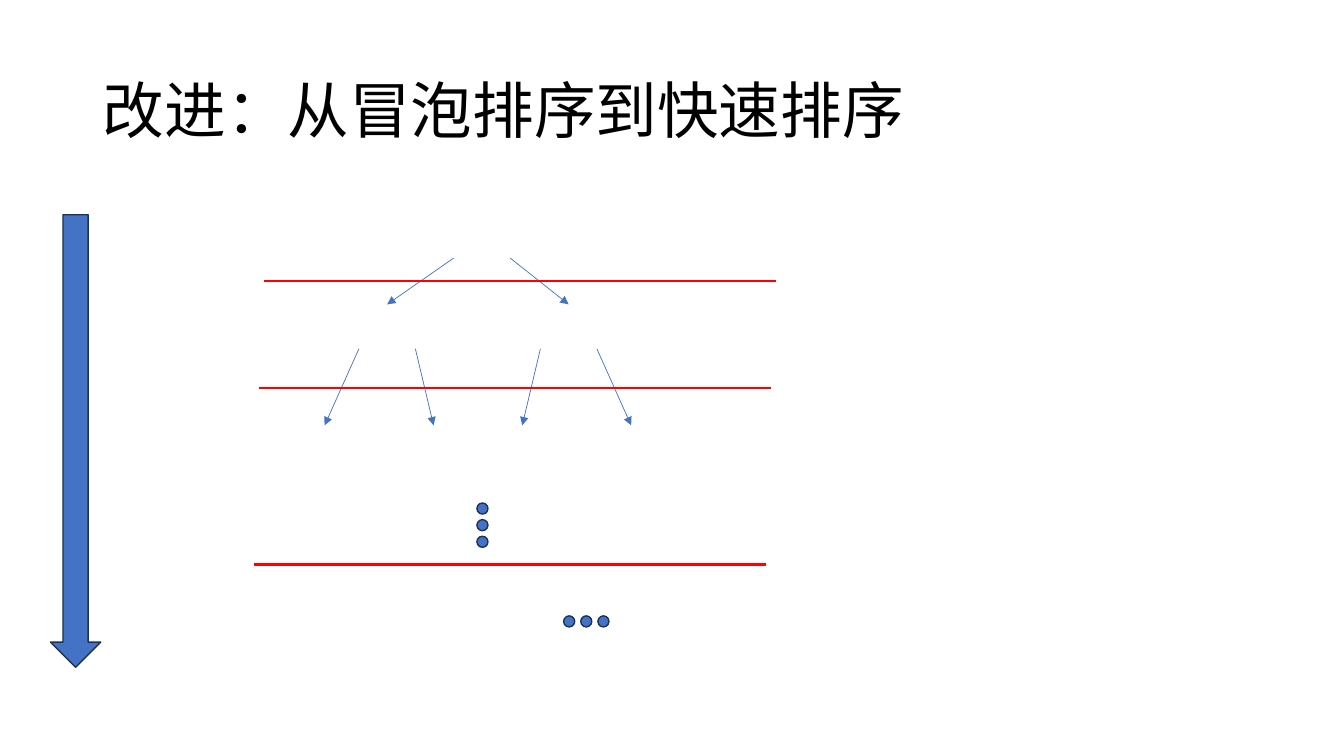
from lxml import etree
from pptx import Presentation
from pptx.dml.color import RGBColor
from pptx.enum import shapes, text
from pptx.oxml.ns import qn
from pptx.util import Inches, Pt

BLUE = RGBColor(0x44, 0x72, 0xC4)
NAVY = RGBColor(0x1E, 0x32, 0x56)
RED = RGBColor(0xFF, 0, 0)
BLACK = RGBColor(0, 0, 0)
FONT = "Noto Sans CJK SC"

deck = Presentation()
deck.slide_width, deck.slide_height = Inches(13.33), Inches(7.5)
slide = deck.slides.add_slide(deck.slide_layouts[5])


def write(box, words, size=44, color=BLACK, align=text.PP_ALIGN.LEFT):
    frame = box.text_frame
    frame.word_wrap = True
    frame.auto_size = text.MSO_AUTO_SIZE.NONE
    frame.vertical_anchor = text.MSO_ANCHOR.MIDDLE
    par = frame.paragraphs[0]
    par.alignment = align
    par.line_spacing = 0.9
    run = par.add_run()
    run.text = words
    run.font.size, run.font.name = Pt(size), FONT
    run.font.color.rgb = color
    east = etree.SubElement(run.font._element, qn("a:ea"))
    east.set("typeface", FONT)


# Title
title = slide.shapes.title
title.left, title.top = Inches(0.92), Inches(0.4)
title.width, title.height = Inches(11.5), Inches(1.45)
write(title, "改进：从冒泡排序到快速排序")

# Lines: tree arrows by level, then the red level dividers
lines = [(x, 2.56, end, 3.02, BLUE, 0.5) for x, end in [(4.5, 3.84), (5.06, 5.64)]]
lines += [(x, 3.46, end, 4.22, BLUE, 0.5)
          for x, end in [(3.56, 3.22), (4.12, 4.3), (5.36, 5.18), (5.92, 6.26)]]
lines += [(x, y, x + 5.08, y, RED, 1.5)
          for x, y in [(2.62, 2.79), (2.57, 3.85), (2.52, 5.6)]]
for x1, y1, x2, y2, color, width in lines:
    line = slide.shapes.add_connector(
        shapes.MSO_CONNECTOR.STRAIGHT, Inches(x1), Inches(y1), Inches(x2), Inches(y2))
    line.line.color.rgb, line.line.width = color, Pt(width)
    if color == BLUE:
        tip = etree.SubElement(line.line._get_or_add_ln(), qn("a:tailEnd"))
        tip.set("type", "triangle")
    etree.SubElement(line._element.spPr, qn("a:effectLst"))

# Dots in a column and a row, and the large down arrow
kind = shapes.MSO_SHAPE
solids = [(kind.OVAL, 4.73, 4.99 + 0.165 * i, 0.11, 0.11) for i in range(3)]
solids += [(kind.OVAL, 5.59 + 0.17 * i, 6.11, 0.11, 0.11) for i in range(3)]
solids.append((kind.DOWN_ARROW, 0.5, 2.13, 0.5, 4.49))
for form, *place in solids:
    solid = slide.shapes.add_shape(form, *[Inches(v) for v in place])
    solid.shadow.inherit = False
    solid.fill.solid()
    solid.fill.fore_color.rgb = BLUE
    solid.line.color.rgb, solid.line.width = NAVY, Pt(1)

deck.save("out.pptx")
